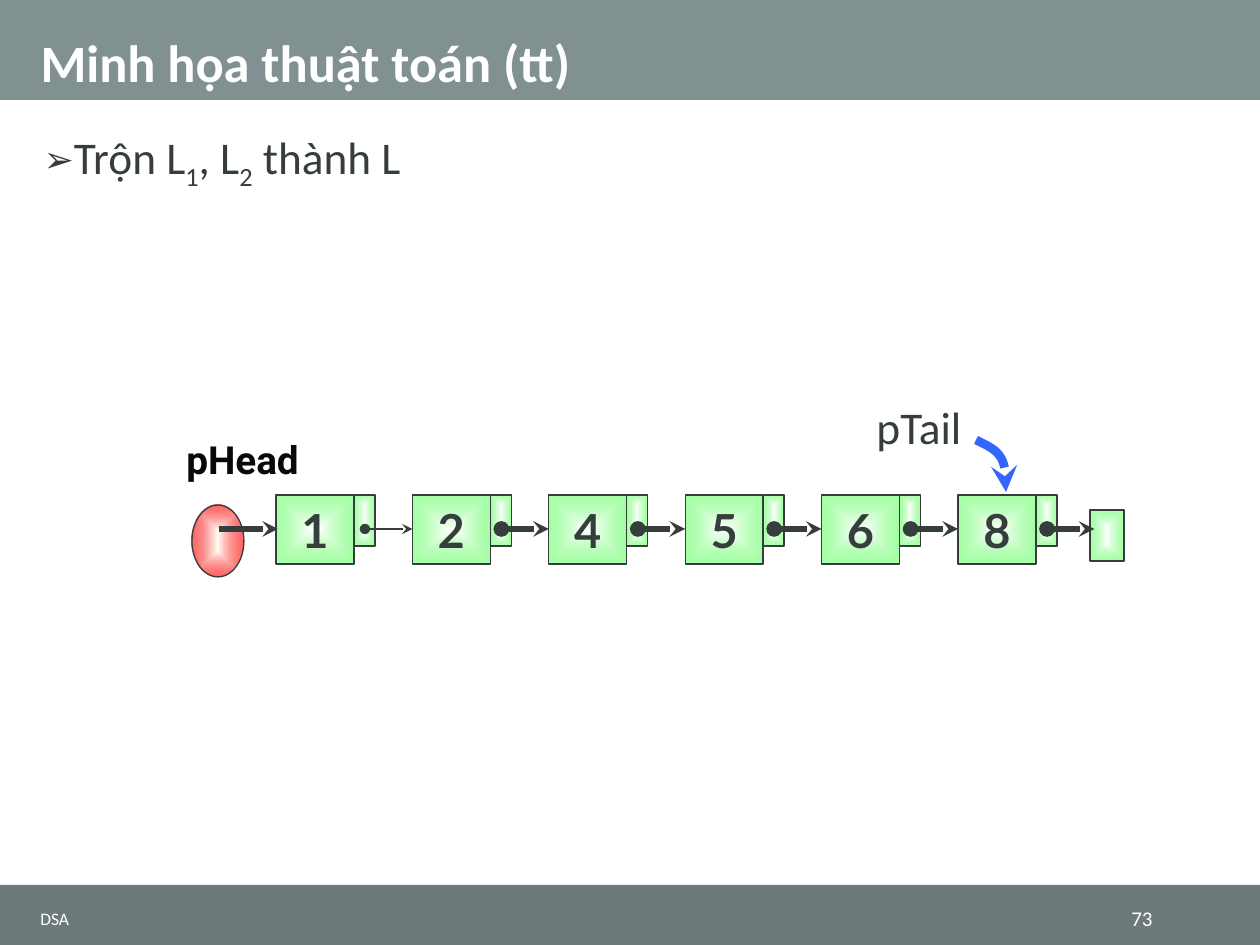
from collections import namedtuple

from lxml import etree
from pptx import Presentation, util as u
from pptx.dml import color
from pptx.enum import shapes, text
from pptx.oxml import ns

SCALE = 914400 / 126  # EMU in one px
INK, WHITE, GREEN, BLUE = "363D3D", "FFFFFF", "69FF69", "3366FF"
LEFT, CENTER, RIGHT = text.PP_ALIGN.LEFT, text.PP_ALIGN.CENTER, text.PP_ALIGN.RIGHT
MIDDLE, TOP, BOTTOM = text.MSO_ANCHOR.MIDDLE, text.MSO_ANCHOR.TOP, text.MSO_ANCHOR.BOTTOM
Box = namedtuple("Box", "left top width height")


def px(value):
    return u.Emu(round(value * SCALE))


def paint(target, value):
    target.rgb = color.RGBColor.from_string(value)


def add_xml(parent, tag, **attributes):
    element = etree.SubElement(parent, ns.qn(tag))
    for name, value in attributes.items():
        element.set(name, str(value))
    return element


def place(item, box):
    for name, value in box._asdict().items():
        setattr(item, name, px(value))


def write(frame, pieces, size, font, ink=INK, bold=False, align=LEFT, anchor=TOP):
    """Fill a text frame with one paragraph of (text, baseline) pieces."""
    frame.word_wrap = True
    frame.auto_size = text.MSO_AUTO_SIZE.NONE
    frame.vertical_anchor = anchor
    para = frame.paragraphs[0]
    para.alignment = align
    for words, baseline in pieces:
        span = para.add_run()
        span.text = words
        for name, value in {"size": u.Pt(size), "name": font, "bold": bold}.items():
            setattr(span.font, name, value)
        paint(span.font.color, ink)
        if baseline:
            span.font._element.set("baseline", str(baseline))
    return para


def label(page, box, words, inset=True, **style):
    area = page.shapes.add_textbox(*map(px, box))
    if not inset:
        for side in ("left", "top", "right", "bottom"):
            setattr(area.text_frame, f"margin_{side}", 0)
    write(area.text_frame, [(words, 0)], **style)


def glowing_shape(page, box, kind=shapes.MSO_SHAPE.RECTANGLE, inner=WHITE, outer=GREEN):
    """Outlined shape shaded from a light centre to a translucent edge."""
    item = page.shapes.add_shape(kind, *map(px, box))
    item.shadow.inherit = False
    item.fill.gradient()
    for stop, value in zip(item.fill.gradient_stops, (inner, outer)):
        paint(stop.color, value)
    shade = item._element.spPr.find(ns.qn("a:gradFill"))
    add_xml(shade.findall(".//" + ns.qn("a:srgbClr"))[1], "a:alpha", val=60000)
    linear = shade.find(ns.qn("a:lin"))
    radial = add_xml(shade, "a:path", path="shape")
    add_xml(radial, "a:fillToRect", l=50000, t=50000, r=50000, b=50000)
    shade.replace(linear, radial)
    paint(item.line.color, INK)
    item.line.width = u.Pt(0.75)
    return item


def style_line(item, ink, width, head=None):
    paint(item.line.color, ink)
    item.line.width = u.Pt(width)
    stroke = item.line._get_or_add_ln()
    if head:
        add_xml(stroke, "a:headEnd", type=head)
    add_xml(stroke, "a:tailEnd", type="stealth")


def arrow(page, start, end, y, width=3, head=None):
    item = page.shapes.add_connector(
        shapes.MSO_CONNECTOR.STRAIGHT, px(start), px(y), px(end), px(y))
    style_line(item, INK, width, head)
    add_xml(item._element.spPr, "a:effectLst")


def band(page, box, fill):
    item = page.shapes.add_shape(shapes.MSO_SHAPE.RECTANGLE, *map(px, box))
    item.shadow.inherit = False
    item.fill.solid()
    paint(item.fill.fore_color, fill)
    item.line.fill.background()
    page.shapes._spTree.insert(2, item._element)  # behind the placeholders


def header(page, box):
    band(page, box, "819090")
    title = page.shapes.title
    place(title, Box(box.left + 28, box.top, box.width - 54, box.height))
    para = write(title.text_frame, [("Minh họa thuật toán (tt)", 0)],
                 30, "Calibri", WHITE, True, anchor=BOTTOM)
    para.line_spacing = 0.9


def body(page, box):
    area = page.placeholders[1]
    place(area, box)
    pieces = [("Trộn L", 0), ("1", -25000), (", L", 0), ("2", -25000), (" thành L", 0)]
    para = write(area.text_frame, pieces, 25.9, "Calibri")
    para.space_before = para.space_after = u.Pt(6)
    layout = para._p.get_or_add_pPr()
    for name, value in {"marL": px(21), "indent": px(-18)}.items():
        layout.set(name, str(value))
    add_xml(layout, "a:buSzPct", val=80000)
    add_xml(layout, "a:buChar", char="➢")


def node(page, box, value):
    """Data cell with a shorter pointer cell on its right."""
    glowing_shape(page, Box(box.left + box.width, box.top, 21, 51))
    cell = glowing_shape(page, box)
    write(cell.text_frame, [(value, 0)], 26.8, "Lato", bold=True,
          align=CENTER, anchor=MIDDLE)


def tail_curve(page, box):
    """Quarter turn from the top left to the bottom right of the box."""
    pieces = [((0, 0), (10, 5), (20, 9), (25, 18)),
              ((25, 18), (30, 26), (30, 39), (box.width, box.height))]
    steps = 8
    points = [(0, 0)]
    for curve in pieces:
        for t in (step / steps for step in range(1, steps + 1)):
            weights = ((1 - t) ** 3, 3 * t * (1 - t) ** 2, 3 * t * t * (1 - t), t ** 3)
            points.append(tuple(sum(w * point[axis] for w, point in zip(weights, curve))
                                for axis in (0, 1)))
    path = [(px(box.left + x), px(box.top + y)) for x, y in points]
    builder = page.shapes.build_freeform(*path[0])
    builder.add_line_segments(path[1:], close=False)
    item = builder.convert_to_shape()
    item.shadow.inherit = False
    item.fill.background()
    style_line(item, BLUE, 5)


def linked_list(page, box, values):
    left, top = box.left, box.top
    first, last = left + 84, left + 766
    pitch = (last - first) / (len(values) - 1)
    row, link = top + 96, top + 130

    # Head pointer and end marker
    glowing_shape(page, Box(left, top + 106, 52, 72), shapes.MSO_SHAPE.OVAL,
                  "FFFFF7", "FF0000")
    glowing_shape(page, Box(left + 898, top + 111, 34, 51))
    arrow(page, left + 27, left + 86, link)

    # Nodes, then the links over them
    starts = [first + index * pitch for index in range(len(values))]
    for start, value in zip(starts, values):
        node(page, Box(start, row, 78, 69), value)
    for index, start in enumerate(starts):
        arrow(page, start + 89, start + pitch, link, 3 if index else 0.75, "oval")

    # Pointer names
    label(page, Box(left - 18, top + 37, 137, 53), "pHead", inset=False, size=22.1,
          font="Roboto", ink="080808", bold=True, align=CENTER)
    label(page, Box(left + 677, top, 100, 49), "pTail", inset=False, size=25.9,
          font="Calibri", align=CENTER)
    tail_curve(page, Box(left + 784, top + 41, 30, 52))


def footer(page, box):
    band(page, box, "6C7A7A")
    style = {"font": "Calibri", "ink": WHITE, "anchor": MIDDLE}
    label(page, Box(box.left + 28, box.top + 17, 876, 33), "DSA", size=10, **style)
    label(page, Box(box.left + 1067, box.top + 17, 98, 33), "73", size=12,
          align=RIGHT, **style)


def main():
    deck = Presentation()
    deck.slide_width, deck.slide_height = px(1260), px(945)
    page = deck.slides.add_slide(deck.slide_layouts[1])
    header(page, Box(0, 0, 1260, 100))
    body(page, Box(28, 123, 1206, 762))
    linked_list(page, Box(192, 399, 932, 178), "124568")
    footer(page, Box(0, 885, 1260, 60))
    deck.save("out.pptx")


if __name__ == "__main__":
    main()
